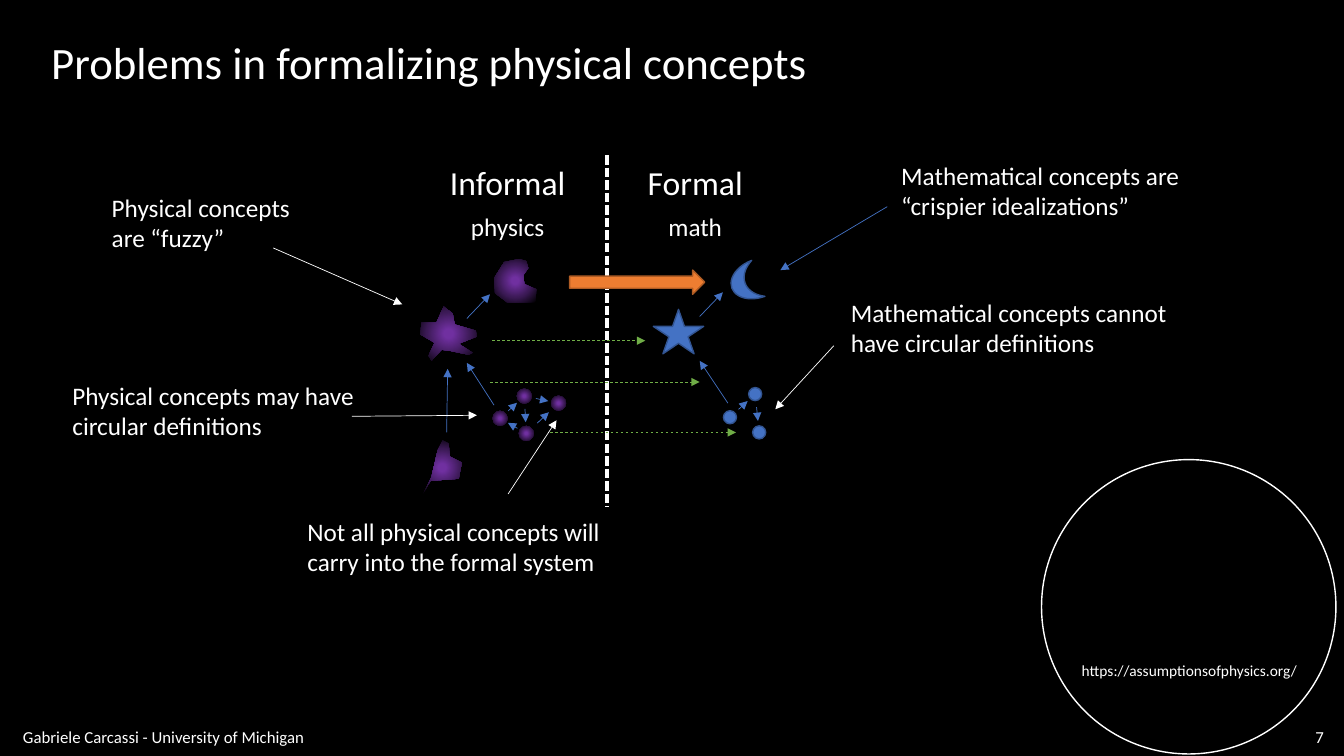
from dataclasses import dataclass

from pptx import Presentation
from pptx.dml.color import RGBColor
from pptx.enum.dml import MSO_LINE
from pptx.enum.shapes import MSO_CONNECTOR, MSO_SHAPE
from pptx.enum.text import MSO_ANCHOR, MSO_AUTO_SIZE, PP_ALIGN
from pptx.oxml import parse_xml
from pptx.oxml.ns import nsdecls, qn
from pptx.util import Cm, Length, Pt

LEFT, CENTER, RIGHT = PP_ALIGN.LEFT, PP_ALIGN.CENTER, PP_ALIGN.RIGHT
DASH, SHORT_DASH = MSO_LINE.DASH, MSO_LINE.SQUARE_DOT
OVAL, MOON, STAR, ARROW = (
    MSO_SHAPE.OVAL, MSO_SHAPE.MOON, MSO_SHAPE.STAR_5_POINT, MSO_SHAPE.RIGHT_ARROW)
FONT = "Calibri"
COLORS = {
    "black": "000000", "white": "FFFFFF", "blue": "4472C4", "navy": "325491",
    "orange": "ED7D31", "rust": "AF5C24", "green": "70AD47",
    "purple": "7030A0", "plum": "3C1A56",
}
FUZZY_STOPS = ((12, "purple"), (56, "plum"), (100, "black"))


@dataclass
class Label:
    text: str
    left: float
    top: float
    width: float
    height: float = 0.71
    size: int = 18
    align: PP_ALIGN = LEFT
    wrap: bool = True
    grow: bool = True


@dataclass
class Link:
    start: tuple[float, float]
    end: tuple[float, float]
    color: str = "blue"
    width: float = 0.5
    dash: MSO_LINE | None = None
    arrow: bool = True


@dataclass
class Mark:
    kind: MSO_SHAPE
    at: tuple[float, float, float, float]
    fill: str | None = "blue"
    outline: str = "navy"
    rotation: float = 0


@dataclass
class Cluster:
    dots: dict[str, tuple[float, float]]
    chain: list[tuple[str, str]]
    size: float
    fuzzy: bool


FRAME = [
    Label("https://assumptionsofphysics.org/", 10.63, 6.51, 2.35, 0.29, 11, wrap=False),
    Label("Gabriele Carcassi - University of Michigan", 0.13, 7.18, 6.53, 0.26, 12, grow=False),
    Label("7", 12.62, 7.18, 0.61, 0.26, 12, RIGHT, grow=False),
    Label("Problems in formalizing physical concepts", 0.41, 0.3, 7.77, 0.64, 32, wrap=False),
]
HEADINGS = [
    Label(text, left, top, 1.35, height, size, CENTER, False)
    for left, words in ((4.36, ("Informal", "physics")), (6.22, ("Formal", "math")))
    for text, top, height, size in zip(words, (1.56, 2.05), (0.5, 0.4), (24, 18))
]
REMARKS = [
    Label("Physical concepts are “fuzzy”", 1.01, 1.86, 2.18),
    Label("Mathematical concepts are “crispier idealizations”", 8.84, 1.54, 3.24),
    Label("Physical concepts may have circular definitions", 0.62, 3.72, 3.24),
    Label("Mathematical concepts cannot have circular definitions", 8.34, 2.9, 3.68),
    Label("Not all physical concepts will carry into the formal system", 2.95, 5.07, 3.24),
]
FUZZY_CONCEPTS = {
    "bitten disc": [
        (515, 257), (500, 260), (490, 276), (491, 291), (503, 300), (531, 300),
        (532, 287), (520, 282), (519, 273), (524, 266), (522, 259)],
    "starfish": [
        (451, 322), (449, 311), (440, 304), (433, 320), (418, 320), (417, 332),
        (431, 340), (425, 353), (428, 358), (438, 347), (446, 348), (465, 352),
        (469, 350), (455, 341), (473, 334), (472, 328)],
    "horn": [
        (439, 437), (434, 447), (428, 473), (419, 491), (427, 477),
        (455, 475), (458, 459), (446, 453), (445, 440)],
}
CLUSTERS = [
    Cluster(
        {"left": (4.96, 4.15), "top": (5.2, 3.93), "low": (5.22, 4.3), "right": (5.54, 4)},
        [("left", "top"), ("top", "right"), ("top", "low"), ("low", "right"), ("low", "left")],
        0.15, True),
    Cluster(
        {"left": (7.24, 4.14), "top": (7.49, 3.91), "low": (7.53, 4.29)},
        [("left", "top"), ("top", "low")], 0.13, False),
]
DIVIDER = Link((6.02, 1.54), (6.02, 5.03), "white", 2.25, SHORT_DASH, False)
CRISP_CONCEPTS = [
    Mark(MOON, (7.25, 2.62, 0.28, 0.38), rotation=339.7),
    Mark(STAR, (6.48, 3.07, 0.5, 0.44)),
    Mark(ARROW, (5.65, 2.68, 1.34, 0.24), "orange", "rust"),
]
DEFINITIONS = [
    Link((4.63, 3.16), (4.86, 2.92)),
    Link((4.9, 4.02), (4.63, 3.6)),
    Link((4.43, 4.29), (4.44, 3.66)),
    Link((6.94, 3.14), (7.17, 2.9)),
    Link((7.22, 4), (6.94, 3.58)),
]
MAPPINGS = [
    Link((left, y), (right, y), "green", dash=DASH)
    for left, right, y in ((4.86, 6.94, 3.79), (4.88, 6.4, 3.38), (5.46, 7.3, 4.29))
]
POINTERS = [
    Link((2.71, 2.46), (3.99, 3.02), "white"),
    Link((8.8, 2.05), (7.74, 2.68)),
    Link((3.49, 4.13), (4.73, 4.12), "white"),
    Link((8.27, 3.43), (7.69, 4.06), "white"),
    Link((5.04, 4.9), (5.52, 4.17), "white"),
]


def inches(*values: float) -> list[Length]:
    return [Cm(value * 2.54) for value in values]


def color(name: str) -> RGBColor:
    return RGBColor.from_string(COLORS[name])


def draw_label(page, label: Label) -> None:
    box = page.shapes.add_textbox(*inches(label.left, label.top, label.width, label.height))
    frame = box.text_frame
    frame.word_wrap = label.wrap
    frame.auto_size = MSO_AUTO_SIZE.SHAPE_TO_FIT_TEXT if label.grow else MSO_AUTO_SIZE.NONE
    frame.vertical_anchor = MSO_ANCHOR.TOP if label.grow else MSO_ANCHOR.MIDDLE
    para = frame.paragraphs[0]
    para.alignment = label.align
    span = para.add_run()
    span.text = label.text
    span.font.name = FONT
    span.font.size = Pt(label.size)
    span.font.color.rgb = color("white")


def draw_link(page, link: Link) -> None:
    connector = page.shapes.add_connector(
        MSO_CONNECTOR.STRAIGHT, *inches(*link.start, *link.end))
    connector.line.color.rgb = color(link.color)
    connector.line.width = Pt(link.width)
    if link.dash is not None:
        connector.line.dash_style = link.dash
    properties = connector._element.spPr
    if link.arrow:
        properties.find(qn("a:ln")).append(
            parse_xml(f'<a:tailEnd {nsdecls("a")} type="triangle"/>'))
    properties.append(parse_xml(f'<a:effectLst {nsdecls("a")}/>'))


def draw_mark(page, mark: Mark):
    shape = page.shapes.add_shape(mark.kind, *inches(*mark.at))
    shape.shadow.inherit = False
    shape.rotation = mark.rotation
    if mark.fill is None:
        shape.fill.background()
    else:
        shape.fill.solid()
        shape.fill.fore_color.rgb = color(mark.fill)
    shape.line.color.rgb = color(mark.outline)
    shape.line.width = Pt(1)
    return shape


def make_fuzzy(shape) -> None:
    shape.shadow.inherit = False
    shape.line.fill.background()
    shape.fill.solid()
    stops = "".join(
        f'<a:gs pos="{percent * 1000}"><a:srgbClr val="{COLORS[name]}"/></a:gs>'
        for percent, name in FUZZY_STOPS)
    gradient = parse_xml(
        f'<a:gradFill {nsdecls("a")}><a:gsLst>{stops}</a:gsLst><a:path path="circle">'
        '<a:fillToRect l="50000" t="50000" r="50000" b="50000"/></a:path></a:gradFill>')
    properties = shape._element.spPr
    properties.replace(properties.find(qn("a:solidFill")), gradient)


def draw_outline(page, outline: list[tuple[int, int]]) -> None:
    builder = page.shapes.build_freeform(*outline[0], scale=Cm(2.54) / 100)
    builder.add_line_segments(outline[1:], close=True)
    make_fuzzy(builder.convert_to_shape())


def draw_cluster(page, cluster: Cluster) -> None:
    size = cluster.size
    for x, y in cluster.dots.values():
        dot = draw_mark(page, Mark(OVAL, (x - size / 2, y - size / 2, size, size)))
        if cluster.fuzzy:
            make_fuzzy(dot)
    for source, target in cluster.chain:
        (x, y), (to_x, to_y) = cluster.dots[source], cluster.dots[target]
        start, end = ((x + (to_x - x) * t, y + (to_y - y) * t) for t in (0.34, 0.7))
        draw_link(page, Link(start, end))


def main() -> None:
    deck = Presentation()
    deck.slide_width, deck.slide_height = inches(13.33, 7.5)
    page = deck.slides.add_slide(deck.slide_layouts[6])
    page.background.fill.solid()
    page.background.fill.fore_color.rgb = color("black")
    draw_mark(page, Mark(OVAL, (10.33, 4.56, 2.92, 2.92), None, "white"))
    for label in FRAME + HEADINGS + REMARKS:
        draw_label(page, label)
    draw_link(page, DIVIDER)
    for outline in FUZZY_CONCEPTS.values():
        draw_outline(page, outline)
    for cluster in CLUSTERS:
        draw_cluster(page, cluster)
    for mark in CRISP_CONCEPTS:
        draw_mark(page, mark)
    for link in DEFINITIONS + MAPPINGS + POINTERS:
        draw_link(page, link)
    deck.save("out.pptx")


if __name__ == "__main__":
    main()
